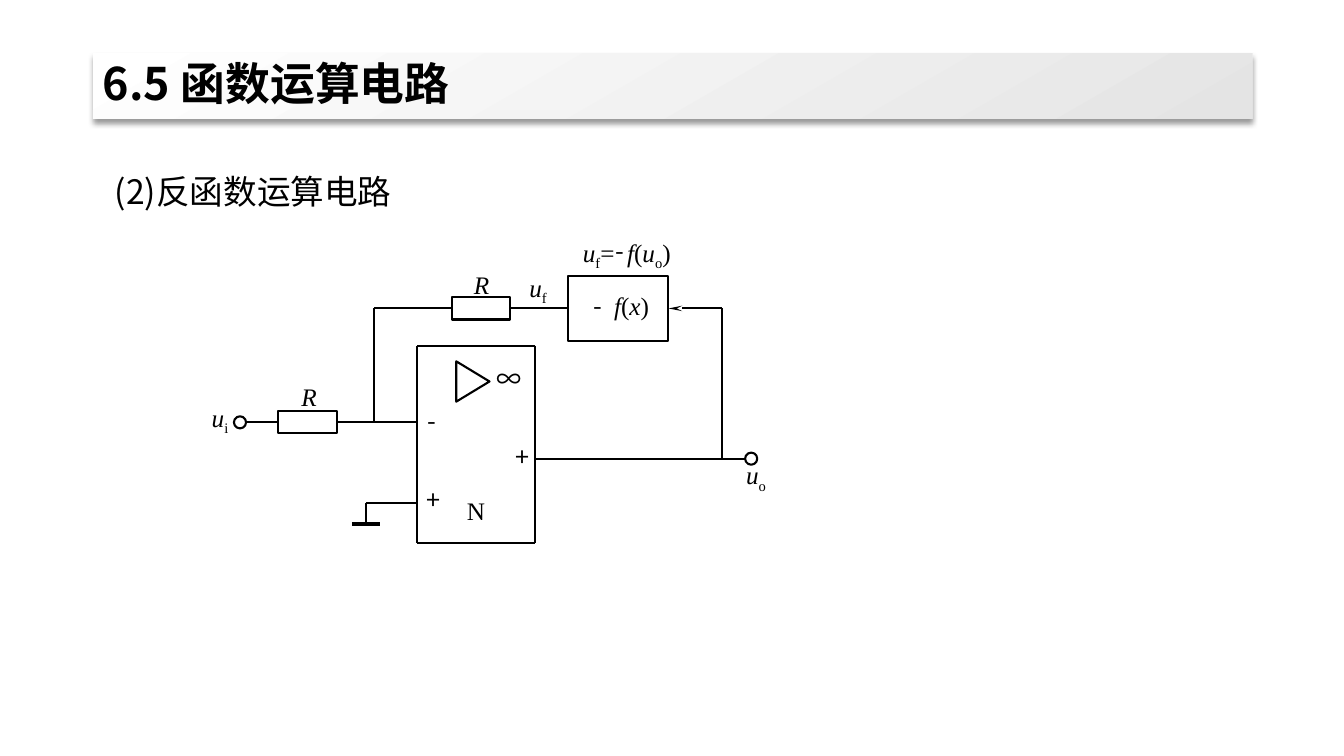
from lxml.etree import SubElement
from pptx import Presentation
from pptx.dml.color import RGBColor
from pptx.enum.shapes import MSO_CONNECTOR, MSO_SHAPE
from pptx.enum.text import MSO_ANCHOR, PP_ALIGN
from pptx.oxml import parse_xml
from pptx.oxml.ns import nsdecls, qn
from pptx.util import Inches, Pt

BLACK = RGBColor(0x00, 0x00, 0x00)
WHITE = RGBColor(0xFF, 0xFF, 0xFF)
SILVER = RGBColor(0xE4, 0xE4, 0xE4)
SANS, SERIF = "Noto Sans CJK SC", "Times New Roman"

# Columns and rows of the circuit, in inches
INPUT_X, GROUND_X, FEEDBACK_X = 2.44, 3.63, 3.71
AMP_LEFT, AMP_RIGHT, RETURN_X, OUTPUT_X = 4.14, 5.31, 7.16, 7.39
FEEDBACK_Y, AMP_TOP, INPUT_Y, OUTPUT_Y = 3.06, 3.43, 4.19, 4.55
PLUS_Y, GROUND_Y, AMP_BOTTOM = 4.99, 5.20, 5.39
RESISTOR_W, RESISTOR_H = 0.58, 0.22
BLOCK_W, BLOCK_H = 1.0, 0.64
DOT = 0.12

deck = Presentation()
deck.slide_width, deck.slide_height = Inches(13.33), Inches(7.5)
page = deck.slides.add_slide(deck.slide_layouts[5])


def add_text(left, top, width, height, spans, face, size=18, backed=False):
    """Add a one-line label, on a white rectangle if backed.

    Spans are (text, style) with style "", "italic" or "sub".
    """
    place = map(Inches, (left, top, width, height))
    if backed:
        box = page.shapes.add_shape(MSO_SHAPE.RECTANGLE, *place)
        box.shadow.inherit = False
        box.fill.solid()
        box.fill.fore_color.rgb = WHITE
        box.line.fill.background()
    else:
        box = page.shapes.add_textbox(*place)
    frame = box.text_frame
    frame.word_wrap = True
    frame.vertical_anchor = MSO_ANCHOR.TOP
    frame.margin_left = frame.margin_right = frame.margin_top = frame.margin_bottom = 0
    para = frame.paragraphs[0]
    para.alignment = PP_ALIGN.JUSTIFY
    for text, style in spans:
        span = para.add_run()
        span.text = text
        if style == "italic":
            span.font.italic = True
        elif style == "sub":
            span._r.get_or_add_rPr().set("baseline", "-25000")
    para.font.size, para.font.name = Pt(size), face
    para.font.color.rgb = BLACK
    SubElement(para._p.pPr.find(qn("a:defRPr")), qn("a:ea"), typeface=face)


def add_wire(start, end, width=1.5):
    wire = page.shapes.add_connector(
        MSO_CONNECTOR.STRAIGHT, *map(Inches, (*start, *end)))
    wire.line.color.rgb = BLACK
    wire.line.width = Pt(width)
    SubElement(wire._element.spPr, qn("a:effectLst"))
    return wire


# Title bar
title = page.shapes.title
title.left, title.top, title.width, title.height = map(Inches, (0.92, 0.53, 11.5, 0.65))
title.fill.gradient()
title.fill.gradient_angle = 300
for stop, color, position in zip(title.fill.gradient_stops, (WHITE, SILVER), (0, 1)):
    stop.color.rgb = color
    stop.position = position
title._element.spPr.append(parse_xml(
    f'<a:effectLst {nsdecls("a")}>'
    '<a:outerShdw blurRad="50800" dist="38100" dir="5400000" algn="t" rotWithShape="0">'
    '<a:srgbClr val="000000"><a:alpha val="40000"/></a:srgbClr>'
    '</a:outerShdw></a:effectLst>'))
title.text_frame.text = "6.5 函数运算电路"
title.text_frame.vertical_anchor = MSO_ANCHOR.MIDDLE
heading = title.text_frame.paragraphs[0]
heading.alignment = PP_ALIGN.LEFT
heading.line_spacing = 0.9
heading.font.size, heading.font.name, heading.font.bold = Pt(32), SANS, True
heading.font.color.rgb = BLACK
SubElement(heading._p.pPr.find(qn("a:defRPr")), qn("a:ea"), typeface=SANS)

add_text(1.14, 1.70, 3.8, 0.6, [("(2)反函数运算电路", "")], SANS, 24)

# Labels on white, behind the circuit
for left, top, width, spans in (
    (4.70, 2.67, 0.32, [("R", "italic")]),
    (2.10, 3.99, 0.37, [("u", "italic"), ("i", "sub")]),
    (2.99, 3.78, 0.32, [("R", "italic")]),
):
    add_text(left, top, width, 0.36, spans, SERIF, backed=True)

# Components
parts = {}
for name, kind, left, top, width, height in (
    ("gain", MSO_SHAPE.ISOSCELES_TRIANGLE, 4.49, 3.62, 0.40, 0.33),
    ("input resistor", MSO_SHAPE.RECTANGLE, 2.76, INPUT_Y - RESISTOR_H / 2,
     RESISTOR_W, RESISTOR_H),
    ("feedback resistor", MSO_SHAPE.RECTANGLE, 4.48, FEEDBACK_Y - RESISTOR_H / 2,
     RESISTOR_W, RESISTOR_H),
    ("function block", MSO_SHAPE.RECTANGLE, 5.63, FEEDBACK_Y - BLOCK_H / 2,
     BLOCK_W, BLOCK_H),
    ("input terminal", MSO_SHAPE.OVAL, INPUT_X - DOT, INPUT_Y - DOT / 2, DOT, DOT),
    ("output terminal", MSO_SHAPE.OVAL, OUTPUT_X, OUTPUT_Y - DOT / 2, DOT, DOT),
):
    part = page.shapes.add_shape(kind, *map(Inches, (left, top, width, height)))
    part.shadow.inherit = False
    part.fill.solid()
    part.fill.fore_color.rgb = WHITE
    part.line.color.rgb = BLACK
    part.line.width = Pt(1.5)
    parts[name] = part
parts["gain"].rotation = 90
block = parts["function block"]
block.fill.background()

# Wires joined to components
input_resistor, feedback_resistor = parts["input resistor"], parts["feedback resistor"]
add_wire((INPUT_X, INPUT_Y), (2.76, INPUT_Y)).end_connect(input_resistor, 1)
add_wire((3.34, INPUT_Y), (GROUND_X, INPUT_Y)).begin_connect(input_resistor, 3)
add_wire((FEEDBACK_X, FEEDBACK_Y), (4.48, FEEDBACK_Y)).end_connect(feedback_resistor, 1)
link = add_wire((5.06, FEEDBACK_Y), (5.63, FEEDBACK_Y))
link.begin_connect(feedback_resistor, 3)
link.end_connect(block, 1)
arrow = add_wire((6.63, FEEDBACK_Y), (RETURN_X, FEEDBACK_Y))
arrow.begin_connect(block, 3)
SubElement(arrow.line._get_or_add_ln(), qn("a:headEnd"), type="stealth", w="sm", len="lg")

# Amplifier outline, free wires and ground
for start, end in (
    ((AMP_LEFT, AMP_TOP), (AMP_RIGHT, AMP_TOP)),
    ((AMP_LEFT, AMP_BOTTOM), (AMP_RIGHT, AMP_BOTTOM)),
    ((AMP_LEFT, AMP_TOP), (AMP_LEFT, AMP_BOTTOM)),
    ((AMP_RIGHT, AMP_TOP), (AMP_RIGHT, AMP_BOTTOM)),
    ((GROUND_X, INPUT_Y), (AMP_LEFT, INPUT_Y)),
    ((FEEDBACK_X, INPUT_Y), (FEEDBACK_X, FEEDBACK_Y)),
    ((RETURN_X, OUTPUT_Y), (RETURN_X, FEEDBACK_Y)),
    ((AMP_RIGHT, OUTPUT_Y), (OUTPUT_X, OUTPUT_Y)),
    ((GROUND_X, PLUS_Y), (AMP_LEFT, PLUS_Y)),
    ((GROUND_X, PLUS_Y), (GROUND_X, GROUND_Y)),
):
    add_wire(start, end)
add_wire((GROUND_X - 0.14, GROUND_Y), (GROUND_X + 0.14, GROUND_Y), 2.5)

# Labels in front
for left, top, width, spans in (
    (7.40, 4.56, 0.32, [("u", "italic"), ("o", "sub")]),
    (5.25, 2.70, 0.32, [("u", "italic"), ("f", "sub")]),
    (4.63, 4.91, 0.33, [("N", "")]),
    (6.09, 2.88, 0.72, [("f", "italic"), ("(", ""), ("x", "italic"), (")", "")]),
    (5.78, 2.35, 0.45, [("u", "italic"), ("f", "sub"), ("=", "")]),
    (6.22, 2.35, 0.80, [("f", "italic"), ("(", ""), ("u", "italic"),
                        ("o", "sub"), (")", "")]),
):
    add_text(left, top, width, 0.36, spans, SERIF)
for symbol, left, top in (
    ("∞", 4.92, 3.60), ("-", 4.24, 4.02), ("+", 4.23, 4.81),
    ("+", 5.11, 4.38), ("-", 5.89, 2.88), ("-", 6.11, 2.33),
):
    add_text(left, top, 0.33, 0.40, [(symbol, "")], SANS)

deck.save("out.pptx")
